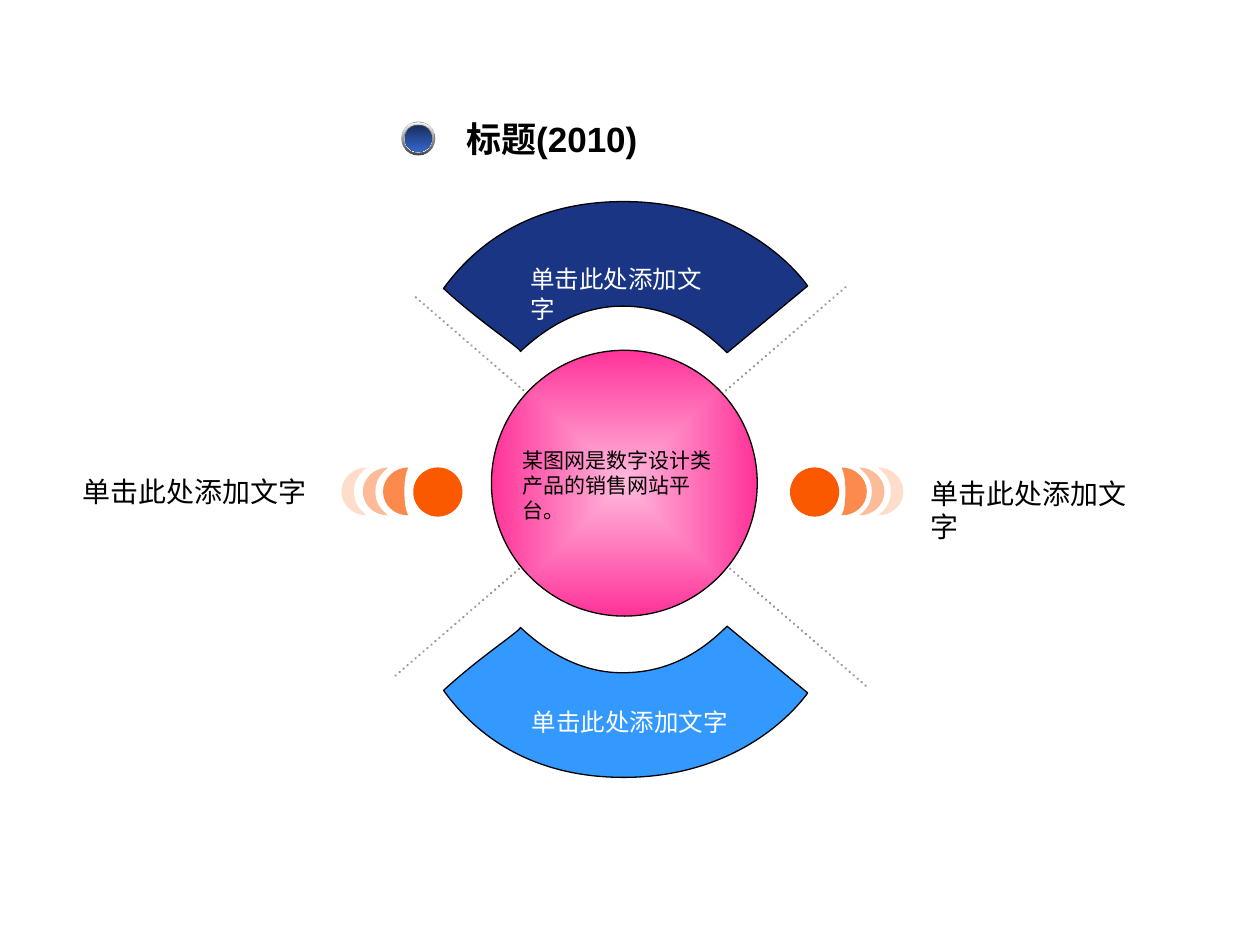
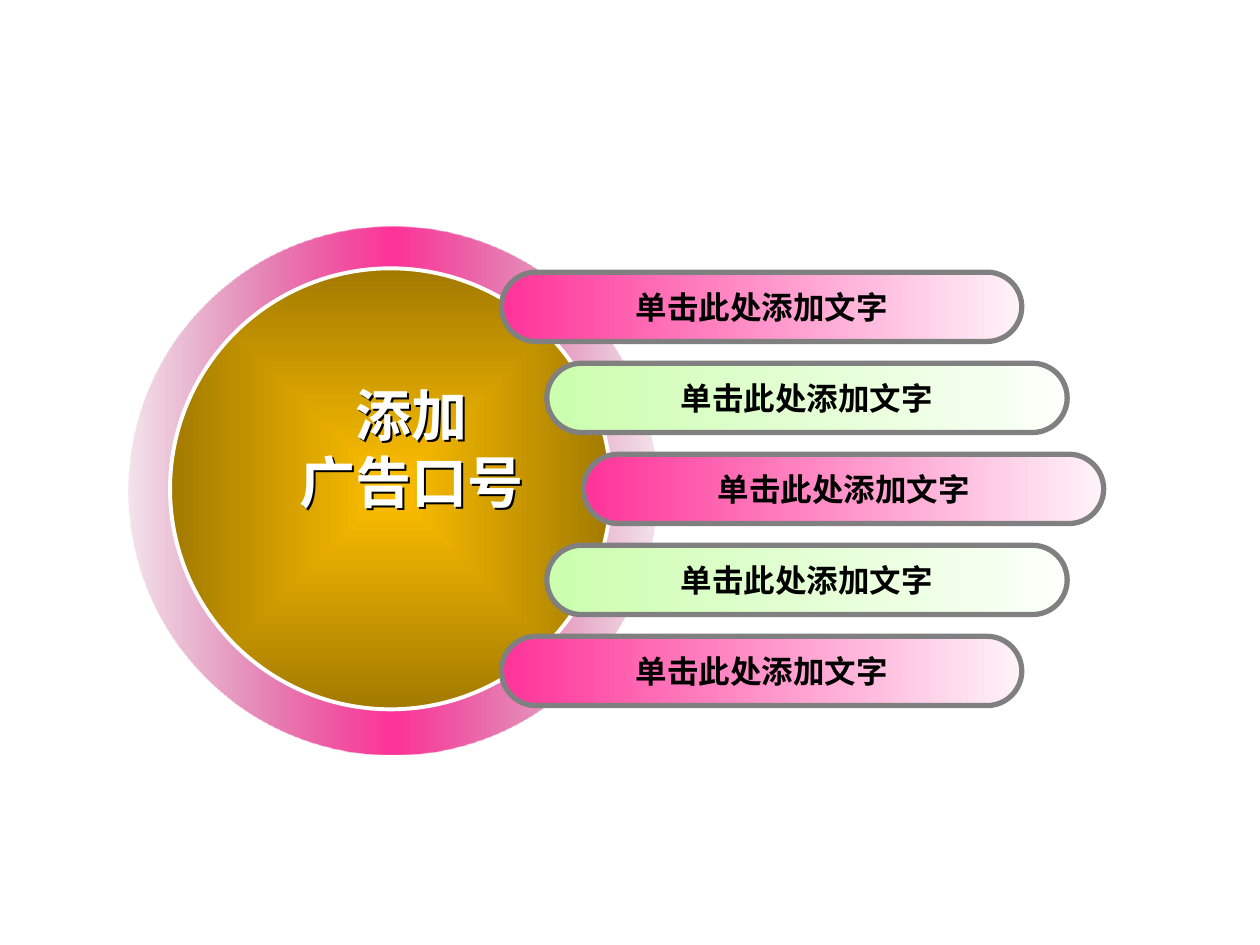
from lxml import etree
from pptx import Presentation
from pptx.dml.color import RGBColor
from pptx.enum.dml import MSO_LINE
from pptx.enum.shapes import MSO_CONNECTOR, MSO_SHAPE
from pptx.enum.text import MSO_ANCHOR, MSO_AUTO_SIZE, PP_ALIGN
from pptx.oxml import parse_xml
from pptx.oxml.ns import nsdecls, qn
from pptx.util import Inches, Pt

OVAL, PILL, DONUT = MSO_SHAPE.OVAL, MSO_SHAPE.ROUNDED_RECTANGLE, MSO_SHAPE.DONUT
STRAIGHT, DOTTED = MSO_CONNECTOR.STRAIGHT, MSO_LINE.ROUND_DOT
LEFT, CENTER = PP_ALIGN.LEFT, PP_ALIGN.CENTER
TOP, MIDDLE = MSO_ANCHOR.TOP, MSO_ANCHOR.MIDDLE
GROW = MSO_AUTO_SIZE.SHAPE_TO_FIT_TEXT

SLIDE_W, SLIDE_H = 10, 7.5
FONT = "Arial"
BLACK, WHITE, GREY = "000000", "FFFFFF", "808080"
PINK, ORANGE = "FF3399", "FA5900"
PROMPT = "单击此处添加文字"

# Slide 1: text, left, top, width, height, size, colour, bold
LABELS = [
    ("某图网是数字设计类产品的销售网站平台。", 4.05, 3.5, 1.81, 0.5, 12, BLACK, False),
    (PROMPT, 4.11, 2.05, 1.74, 0.57, 14, WHITE, False),
    (PROMPT, 4.12, 5.56, 1.98, 0.34, 14, WHITE, False),
    (PROMPT, 0.56, 3.72, 1.99, 0.37, 16, BLACK, False),
    (PROMPT, 7.29, 3.73, 1.95, 0.64, 16, BLACK, False),
    ("标题(2010)", 3.6, 0.88, 2.68, 0.44, 20, BLACK, True),
]
# Outlines: a start point, then runs of three points (curve) or one (line)
FAN_TOP = [(3.52, 2.29),
           [(3.8, 2.55), (4.14, 2.77), (4.13, 2.79)],
           [(4.28, 2.65), (4.56, 2.43), (4.94, 2.43)],
           [(5.31, 2.43), (5.57, 2.6), (5.77, 2.8)],
           [(6.41, 2.27)],
           [(6.22, 2.01), (5.74, 1.6), (4.95, 1.6)],
           [(4.15, 1.6), (3.73, 2), (3.52, 2.29)]]
FAN_MIRROR = 7.77  # sum of the heights of the two fans' matching points
FANS = [("193583", False), ("3399FF", True)]
RAYS = [(3.3, 2.36, 6.88, 5.45), (6.71, 2.28, 3.13, 5.37)]
HUB = (3.9, 2.78, 2.11)
BALL_TOP, BALL_SIZE = 3.71, 0.39
# ball left, direction towards the hub, outer edges of the crescents
TRAILS = [(3.28, 1, (3.04, 2.88, 2.71)), (6.27, -1, (6.88, 7.02, 7.17))]
# opacity, then the control distance and the depth of the inner edge
CRESCENTS = [(70, 0.18, 0.17), (40, 0.15, 0.1), (20, 0.15, 0.1)]
BULLET_CENTRE = (3.32, 1.1)
BULLET_RINGS = [
    (0.27, GREY),
    (0.26, {"stops": [(0, WHITE), (100, "434343")], "angle": 90}),
    (0.24, (GREY, 25)),
    (0.22, (GREY, 30)),
    (0.22, {"stops": [(0, "5C5C5C"), (100, WHITE)], "angle": 90}),
    (0.21, {"stops": [(0, "182F5E"), (100, "3366CC")], "angle": 90}),
]

# Slide 2
SLOGAN = "添加\n广告口号"
RING, RING_BAND = (1.02, 1.8, 4.19), 0.37
DISC = (1.35, 2.13, 3.5)
PILL_LEFTS = [3.98, 4.34, 4.63, 4.34, 3.98]
PILL_TOP, PILL_LAST_TOP, PILL_W, PILL_H = 2.16, 5.05, 4.13, 0.55
PILL_PITCH = (PILL_LAST_TOP - PILL_TOP) / (len(PILL_LEFTS) - 1)
PILL_FILLS = [{"stops": [(0, PINK), (100, "FFF3F9")]},
              {"stops": [(0, "CBFEAE"), (100, "FCFFFA")]}]


def rgb(colour):
    return RGBColor.from_string(colour)


def colour_xml(colour, opacity=100):
    alpha = f'<a:alpha val="{opacity * 1000}"/>' if opacity < 100 else ""
    return f'<a:srgbClr val="{colour}">{alpha}</a:srgbClr>'


def paint(sp, fill, line=None, width=0.75):
    """Fill is a hex colour, a (colour, opacity) pair or a gradient dict."""
    sp.shadow.inherit = False
    if isinstance(fill, str):
        sp.fill.solid()
        sp.fill.fore_color.rgb = rgb(fill)
    else:
        if isinstance(fill, dict):
            stops = "".join(f'<a:gs pos="{pos * 1000}">{colour_xml(*c)}</a:gs>'
                            for pos, *c in fill["stops"])
            if fill.get("from_centre"):
                shade = ('<a:path path="rect"><a:fillToRect l="50000" t="50000" '
                         'r="50000" b="50000"/></a:path>')
            else:
                shade = f'<a:lin ang="{fill.get("angle", 0) * 60000}" scaled="1"/>'
            xml = (f'<a:gradFill {nsdecls("a")} rotWithShape="1">'
                   f"<a:gsLst>{stops}</a:gsLst>{shade}</a:gradFill>")
        else:
            xml = f'<a:solidFill {nsdecls("a")}>{colour_xml(*fill)}</a:solidFill>'
        sp.fill.background()
        sp_pr = sp._element.spPr
        sp_pr.replace(sp_pr.find(qn("a:noFill")), parse_xml(xml))
    if line:
        sp.line.color.rgb = rgb(line)
        sp.line.width = Pt(width)
    else:
        sp.line.fill.background()


def add_shape(parent, kind, x, y, w, h, fill, **line):
    sp = parent.shapes.add_shape(kind, Inches(x), Inches(y), Inches(w), Inches(h))
    paint(sp, fill, **line)
    return sp


def add_outline(slide, outline, fill, **line):
    """Draw a closed outline, turning each run of three points into one curve."""
    (x, y), *segments = outline
    builder = slide.shapes.build_freeform(Inches(x), Inches(y))
    builder.add_line_segments([(Inches(px), Inches(py))
                               for seg in segments for px, py in seg], close=True)
    sp = builder.convert_to_shape()
    steps = iter(list(sp._element.iter(qn("a:lnTo"))))
    for seg in segments:
        first, *rest = [next(steps) for _ in seg]
        if rest:
            curve = etree.Element(qn("a:cubicBezTo"))
            first.addprevious(curve)
            for step in (first, *rest):
                curve.append(step[0])
                step.getparent().remove(step)
    paint(sp, fill, **line)


def map_outline(outline, change):
    start, *segments = outline
    return [change(*start)] + [[change(*p) for p in seg] for seg in segments]


def write(sp, text, size, colour=BLACK, bold=False, align=LEFT, anchor=TOP, wrap=True):
    tf = sp.text_frame
    tf.word_wrap = wrap
    tf.vertical_anchor = anchor
    for i, words in enumerate(text.split("\n")):
        p = tf.add_paragraph() if i else tf.paragraphs[0]
        p.alignment = align
        p._p.get_or_add_pPr().set("hangingPunct", "0")
        r = p.add_run()
        r.text = words
        r.font.size, r.font.bold = Pt(size), bold
        r.font.color.rgb = rgb(colour)
        r.font.name = FONT
        r._r.get_or_add_rPr().set("lang", "zh-CN")


def add_text(slide, text, x, y, w, h, size, **style):
    sp = slide.shapes.add_textbox(Inches(x), Inches(y), Inches(w), Inches(h))
    write(sp, text, size, **style)
    sp.text_frame.auto_size = GROW
    return sp


def add_text_shadow(sp):
    """Shadow an unfilled box, so that its letters cast it."""
    sp._element.spPr.append(parse_xml(
        f'<a:effectLst {nsdecls("a")}><a:outerShdw dist="17961" dir="2700000">'
        f"{colour_xml(BLACK)}</a:outerShdw></a:effectLst>"))


def add_ray(slide, *ends):
    ray = slide.shapes.add_connector(STRAIGHT, *map(Inches, ends))
    ray.line.color.rgb = rgb("969696")
    ray.line.width = Pt(1.5)
    ray.line.dash_style = DOTTED
    ray.line._get_or_add_ln().set("cap", "rnd")
    etree.SubElement(ray._element.spPr, qn("a:effectLst"))


def crescent(edge, direction, control, depth):
    shape = [(0.2, 0),
             [(control, 0.05), (depth, 0.09), (depth, 0.19)],
             [(depth, 0.29), (control, 0.34), (0.2, 0.38)],
             [(0.09, 0.38), (0, 0.3), (0, 0.19)],
             [(0, 0.09), (0.09, 0), (0.2, 0)]]
    return map_outline(shape, lambda x, y: (edge + direction * x, BALL_TOP + y))


def build_cycle(slide):
    for colour, flipped in FANS:
        fan = FAN_TOP
        if flipped:
            fan = map_outline(fan, lambda x, y: (x, FAN_MIRROR - y))
        add_outline(slide, fan, colour, line=BLACK)
    for ends in RAYS:
        add_ray(slide, *ends)
    x, y, size = HUB
    add_shape(slide, OVAL, x, y, size, size, line=BLACK,
              fill={"stops": [(0, "FFBADD"), (100, PINK)], "from_centre": True})
    for left, direction, edges in TRAILS:
        add_shape(slide, OVAL, left, BALL_TOP, BALL_SIZE, BALL_SIZE, ORANGE)
        for edge, (opacity, control, depth) in zip(edges, CRESCENTS):
            add_outline(slide, crescent(edge, direction, control, depth),
                        (ORANGE, opacity))
    for text, x, y, w, h, size, colour, bold in LABELS:
        add_text(slide, text, x, y, w, h, size, colour=colour, bold=bold)
    bullet = slide.shapes.add_group_shape()
    cx, cy = BULLET_CENTRE
    for size, fill in BULLET_RINGS:
        add_shape(bullet, OVAL, cx - size / 2, cy - size / 2, size, size, fill)


def build_slogan(slide):
    x, y, size = RING
    ring = add_shape(slide, DONUT, x, y, size, size,
                     {"stops": [(0, "AA2266", 12), (50, PINK), (100, "AA2266", 12)]})
    ring.adjustments[0] = RING_BAND / size
    x, y, size = DISC
    add_shape(slide, OVAL, x, y, size, size, line=WHITE, width=2.25,
              fill={"stops": [(0, "FFC000"), (100, "A27A00")], "from_centre": True})
    for i, left in enumerate(PILL_LEFTS):
        pill = add_shape(slide, PILL, left, PILL_TOP + i * PILL_PITCH, PILL_W, PILL_H,
                         PILL_FILLS[i % 2], line=GREY, width=3)
        pill.adjustments[0] = 0.5
        write(pill, PROMPT, 18, bold=True, align=CENTER, anchor=MIDDLE, wrap=False)
    slogan = add_text(slide, SLOGAN, 2.28, 2.97, 1.98, 1.17, 32, colour=WHITE,
                      bold=True, align=CENTER, wrap=False)
    add_text_shadow(slogan)


def main():
    prs = Presentation()
    prs.slide_width, prs.slide_height = Inches(SLIDE_W), Inches(SLIDE_H)
    for build in (build_cycle, build_slogan):
        build(prs.slides.add_slide(prs.slide_layouts[6]))
    prs.save("out.pptx")


if __name__ == "__main__":
    main()
